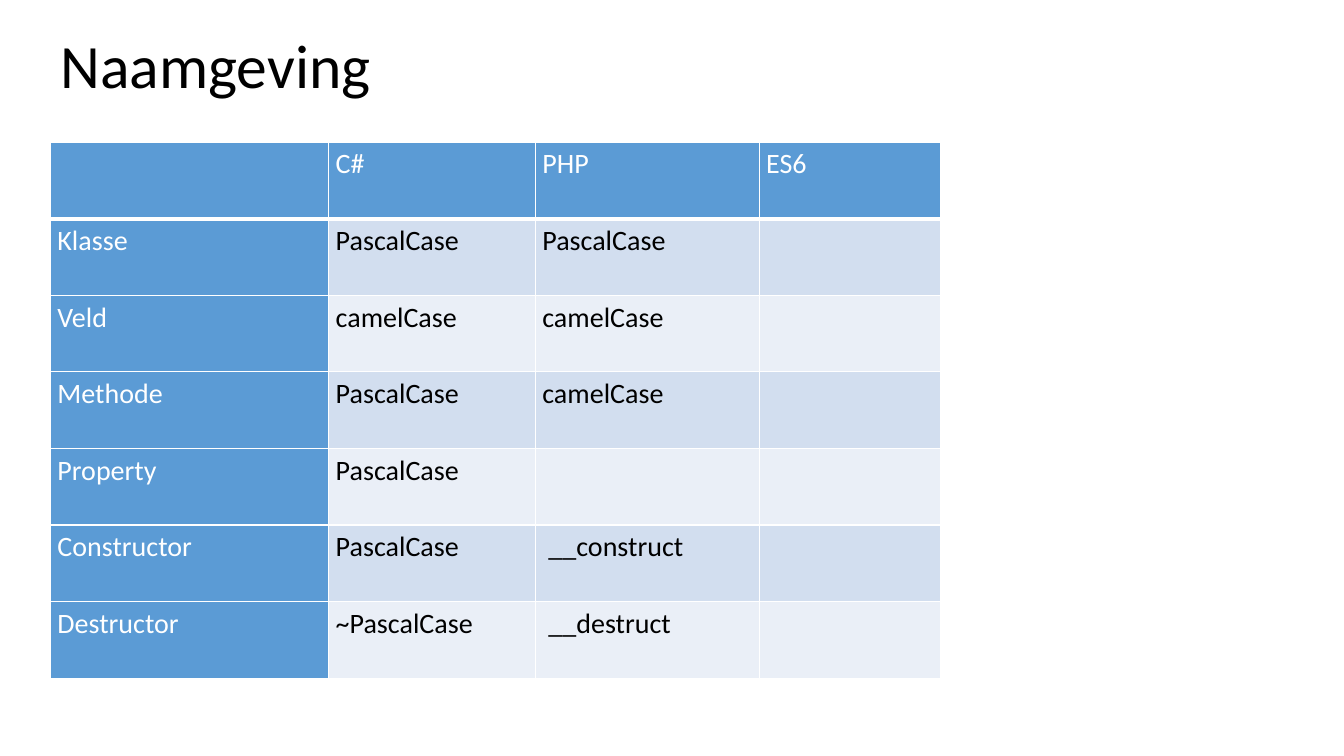
from dataclasses import dataclass

from lxml.etree import SubElement
from pptx import Presentation
from pptx.dml.color import RGBColor
from pptx.enum.text import MSO_ANCHOR, PP_ALIGN
from pptx.oxml.ns import qn
from pptx.util import Inches, Pt


@dataclass(frozen=True)
class Theme:
    font: str = "Calibri"
    title_size: int = 44
    cell_size: int = 20
    dark: str = "000000"
    light: str = "FFFFFF"
    header: str = "5B9BD5"
    bands: tuple = ("D2DEEF", "EAEFF7")
    border: float = 1
    header_border: float = 3


THEME = Theme()

COLUMN_WIDTHS = [2.76, 2.05, 2.22, 1.8]
ROW_HEIGHT = 0.76
NAMING = [
    ["", "C#", "PHP", "ES6"],
    ["Klasse", "PascalCase", "PascalCase", ""],
    ["Veld", "camelCase", "camelCase", ""],
    ["Methode", "PascalCase", "camelCase", ""],
    ["Property", "PascalCase", "", ""],
    ["Constructor", "PascalCase", "__construct", ""],
    ["Destructor", "~PascalCase", "__destruct", ""],
]


def add_run(p, text, size, color, spacing):
    p.alignment = PP_ALIGN.LEFT
    p.line_spacing = spacing
    r = p.add_run()
    r.text = text
    r.font.name = THEME.font
    r.font.size = Pt(size)
    r.font.bold = False
    r.font.color.rgb = RGBColor.from_string(color)


def add_title(s, text):
    sp = s.shapes.title
    sp.left, sp.top = Inches(0.5), Inches(0.3)
    sp.width, sp.height = Inches(9), Inches(1.25)
    tf = sp.text_frame
    tf.word_wrap = True
    tf.vertical_anchor = MSO_ANCHOR.TOP
    add_run(tf.paragraphs[0], text, THEME.title_size, THEME.dark, 0.9)


def set_borders(cell, bottom):
    # Border lines have to come before the fill in the cell properties
    tc_pr = cell._tc.get_or_add_tcPr()
    for side, width in (("L", THEME.border), ("R", THEME.border),
                        ("T", THEME.border), ("B", bottom)):
        ln = SubElement(tc_pr, qn(f"a:ln{side}"), w=str(Pt(width)))
        fill = SubElement(ln, qn("a:solidFill"))
        SubElement(fill, qn("a:srgbClr"), val=THEME.light)


def format_cell(cell, text, row, col):
    is_header = row == 0 or col == 0
    set_borders(cell, THEME.header_border if row == 0 else THEME.border)
    cell.fill.solid()
    fill = THEME.header if is_header else THEME.bands[(row - 1) % 2]
    cell.fill.fore_color.rgb = RGBColor.from_string(fill)
    # Magic method names are indented a little further
    cell.margin_left = Inches(0.13 if text.startswith("__") else 0.07)
    cell.margin_right = Inches(0.07)
    cell.margin_top = cell.margin_bottom = Inches(0)
    if text:
        color = THEME.light if is_header else THEME.dark
        add_run(cell.text_frame.paragraphs[0], text, THEME.cell_size, color, 1.15)


def add_naming_table(s):
    frame = s.shapes.add_table(
        len(NAMING), len(COLUMN_WIDTHS), Inches(0.5), Inches(1.41),
        Inches(sum(COLUMN_WIDTHS)), Inches(ROW_HEIGHT * len(NAMING)))
    table = frame.table
    table.first_col = True
    for column, width in zip(table.columns, COLUMN_WIDTHS):
        column.width = Inches(width)
    for row, texts in enumerate(NAMING):
        table.rows[row].height = Inches(ROW_HEIGHT)
        for col, text in enumerate(texts):
            format_cell(table.cell(row, col), text, row, col)


def main():
    prs = Presentation()
    prs.slide_width, prs.slide_height = Inches(13.33), Inches(7.5)
    s = prs.slides.add_slide(prs.slide_layouts[5])  # Title Only
    add_title(s, "Naamgeving")
    add_naming_table(s)
    prs.save("out.pptx")


if __name__ == "__main__":
    main()
